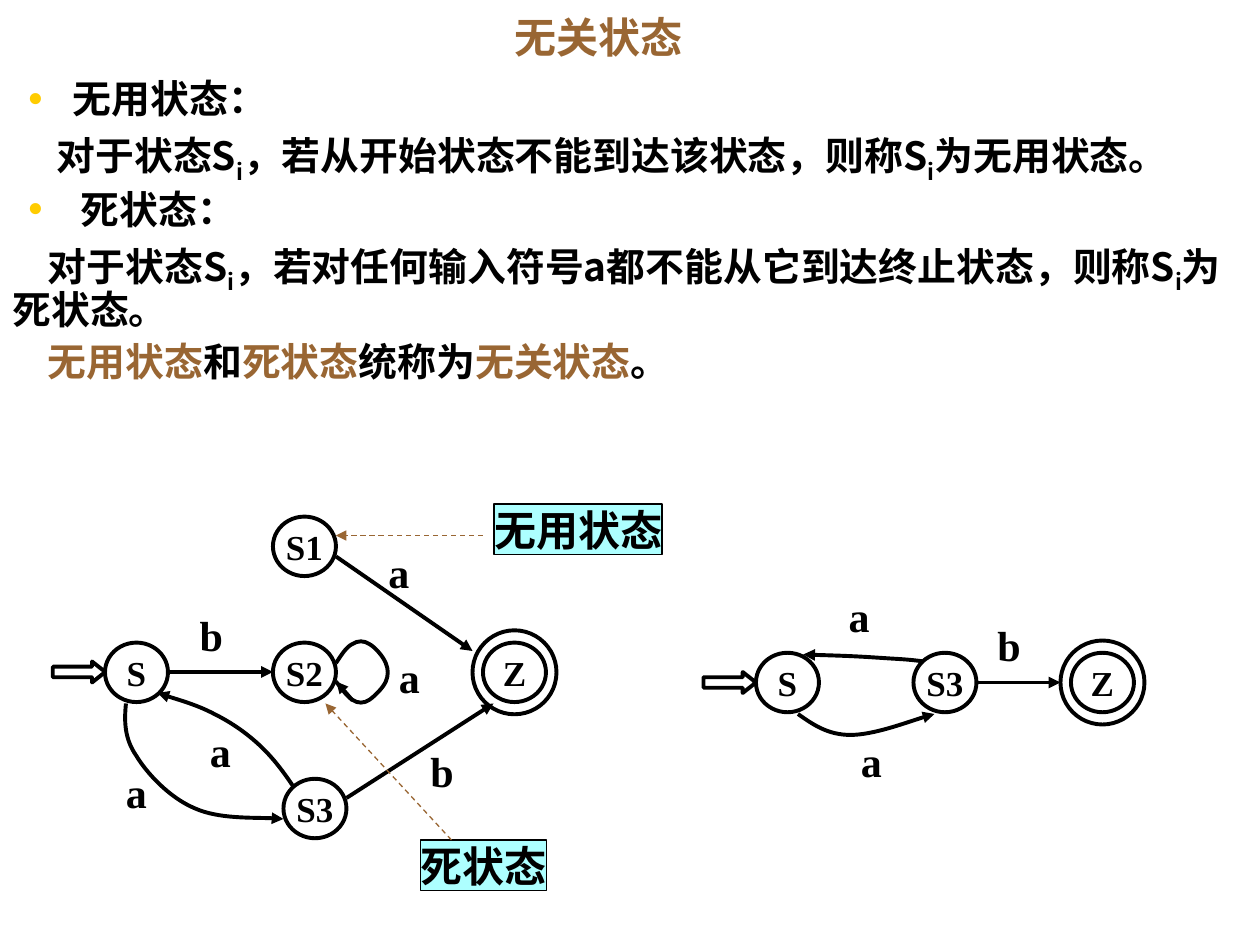
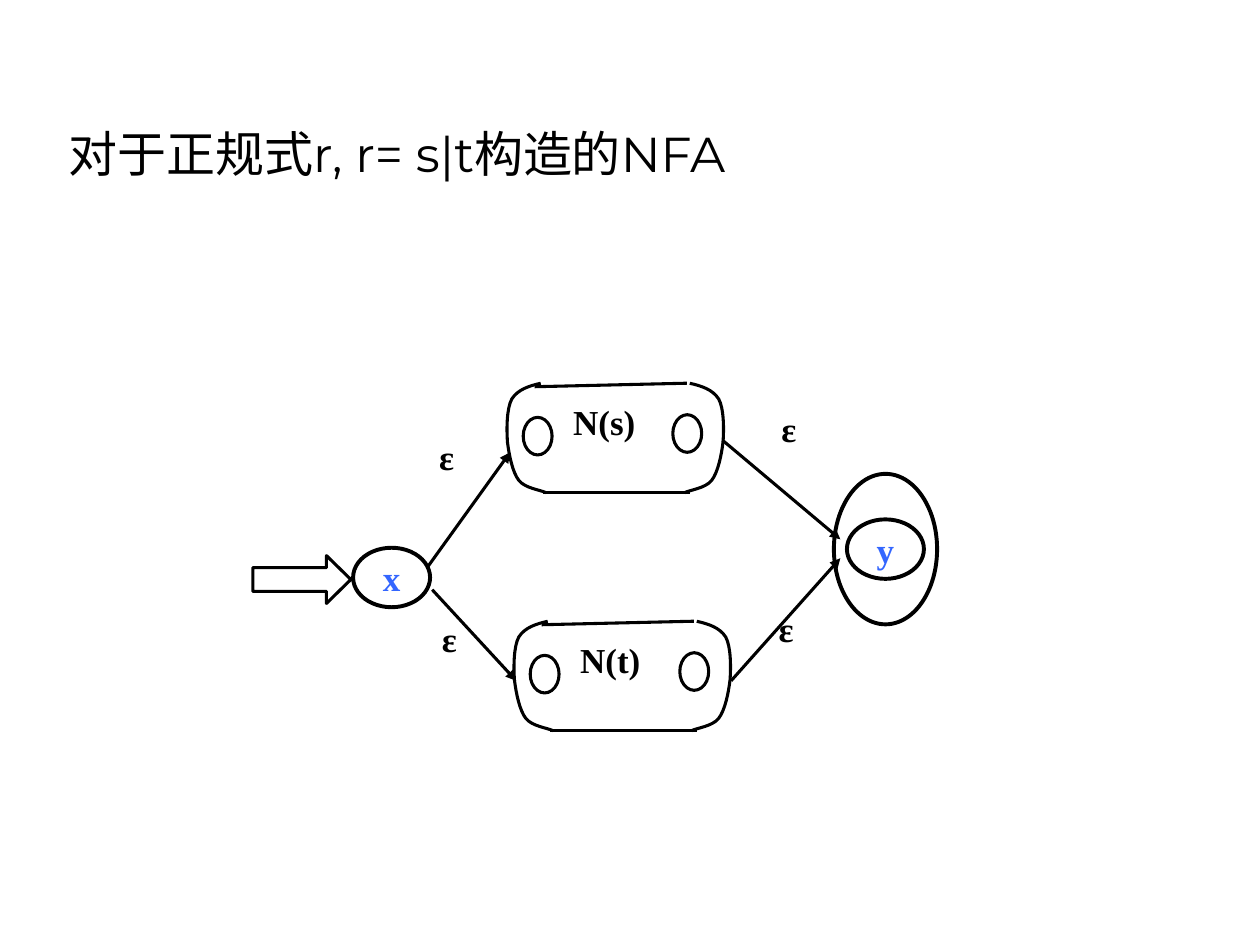
from pptx import Presentation
from pptx.dml.color import RGBColor
from pptx.enum.dml import MSO_LINE
from pptx.enum.shapes import MSO_CONNECTOR, MSO_SHAPE
from pptx.enum.text import MSO_ANCHOR, MSO_AUTO_SIZE, PP_ALIGN
from pptx.oxml.ns import qn
from pptx.util import Pt
from lxml.etree import SubElement

BLACK = RGBColor(0, 0, 0)
BROWN = RGBColor(0x99, 0x66, 0x33)
CYAN = RGBColor(0xAD, 0xFF, 0xFF)
BLUE = RGBColor(0x33, 0x66, 0xFF)
YELLOW = RGBColor(0xFF, 0xCC, 0)
SERIF, SANS, CJK = "Times New Roman", "Montserrat", "Noto Sans CJK SC"
THICK, MEDIUM, THIN = 2.25, 1.75, 0.75
STATE_H = 34

# Slide 1: each definition line is (bulleted, left margin, first-line indent, runs);
# a run is (text, style) with style "", "sub" or "term".
USELESS_TITLE = "无关状态"
DEFINITIONS = [
    (True, 34.5, -26, [("无用状态：", "")]),
    (False, 0, 25.2, [("对于状态S", ""), ("i", "sub"),
                      ("，若从开始状态不能到达该状态，则称S", ""), ("i", "sub"),
                      ("为无用状态。", "")]),
    (True, 39, -30.5, [("死状态：", "")]),
    (False, 0, 20.2, [("对于状态S", ""), ("i", "sub"),
                      ("，若对任何输入符号a都不能从它到达终止状态，则称S", ""),
                      ("i", "sub"), ("为死状态。", "")]),
    (False, 0, 20.2, [("无用状态", "term"), ("和", ""), ("死状态", "term"),
                      ("统称为", ""), ("无关状态", "term"), ("。", "")]),
]
STATES = [("S", 60, 367.2), ("S1", 156, 295.2), ("S2", 156, 367.2),
          ("S3", 162, 445), ("Z", 276, 367.2),
          ("S", 432, 373), ("S3", 522, 373), ("Z", 612, 373)]
START_ARROWS = [(30.2, 378), (402, 384)]
TRANSITIONS = [
    ((192, 318), (270, 372)),
    ((96, 384), (156, 384)),
    ((198, 456), (282, 402)),
    ((558, 390), (606, 390)),
    ((201.5, 400.3), (192.2, 389.5)),
]
INPUTS = [("a", 222, 312), ("b", 114, 348), ("a", 228, 372), ("a", 120, 414),
          ("a", 72, 438), ("b", 246, 426), ("a", 485, 337), ("b", 570, 354),
          ("a", 492, 420)]
CALLOUTS = [("无用状态", 282.3, 288, 96, (276, 306), (192, 306)),
            ("死状态", 240.5, 480, 72, (258, 480), (186, 402))]
# Bézier chains: a start point, then three points for each segment.
S_TO_S3 = [(72, 402), (71, 412), (71, 422), (78, 432), (84, 442), (97, 456),
           (111.5, 462), (125, 468), (153, 467), (162, 468)]
S3_TO_S = [(168, 450), (162, 441), (156, 433), (148.5, 426), (141, 419),
           (132.5, 413), (122.5, 408), (113, 403), (96, 398), (90, 396)]
REDUCED_S_TO_S3 = [(456, 408), (464.5, 414), (473, 420), (486, 420),
                   (499, 420), (526, 410), (534, 408)]
REDUCED_S3_TO_S = [(528, 378), (523, 377.3), (518, 376.8), (510.5, 376.4),
                   (504, 376), (496, 375.4), (487.5, 375), (479, 374.6),
                   (464, 374.2), (459, 374)]
S2_LOOP = [(192, 379), (195, 374.5), (198, 369.5), (201.5, 368), (204.5, 366),
           (208, 366), (211, 368), (214, 369.5), (219, 375), (220.5, 379),
           (222, 382.5), (222, 386), (220.5, 389.5), (219, 393), (214, 398),
           (211, 400), (208, 402), (204.5, 402), (201.5, 400),
           (198, 398), (193.5, 391), (192, 389.5)]

# Slide 2
NFA_TITLE = "对于正规式r, r= s|t构造的NFA"
END_STATES = [("x", 201.8, 313), ("y", 484, 296.8)]
SUB_AUTOMATA = [("N(s)", 36, 0, 0), ("N(t)", 34.5, 4, 136)]
SUB_SIDE = [(309, 219), (302.5, 220.5), (296, 222.5), (292.5, 228),
            (289.5, 233.5), (289.5, 245), (290, 252.5), (291, 260.5),
            (293, 270), (296.5, 274.5), (300, 279), (309, 280), (312, 281.5)]
SUB_MIRROR = 703.2
SUB_EDGES = [((305.5, 221), (392.5, 219)), ((310.5, 281.5), (394.5, 281.5))]
SUB_STATES = [(299, 238.5), (384.5, 237)]
EPSILON_MOVES = [((244, 324.5), (291.5, 258.5)), ((247, 337), (295, 389)),
                 ((412.8, 251.5), (480.2, 308.2)), ((417.8, 389), (480.2, 319))]
EPSILONS = [(251, 249), (446.5, 232.8), (252.5, 352.7), (445, 347)]


def format_run(run, size, font=SERIF, color=BLACK, bold=True):
    run.font.size, run.font.name, run.font.bold = Pt(size), font, bold
    run.font.color.rgb = color
    SubElement(run._r.get_or_add_rPr(), qn("a:ea")).set("typeface", CJK)


def fill_frame(frame, text, size, anchor=MSO_ANCHOR.TOP, align=PP_ALIGN.LEFT,
               inset=0, wrap=False, **style):
    """Put one line of text in a frame; an unwrapped frame fits its text."""
    frame.text = text
    frame.word_wrap, frame.vertical_anchor = wrap, anchor
    if not wrap:
        frame.auto_size = MSO_AUTO_SIZE.SHAPE_TO_FIT_TEXT
    frame.margin_left = frame.margin_right = Pt(inset)
    frame.margin_top = frame.margin_bottom = Pt(inset / 2)
    frame.paragraphs[0].alignment = align
    format_run(frame.paragraphs[0].runs[0], size, **style)


def add_title(slide, text, box, size, **style):
    title = slide.shapes.add_textbox(*map(Pt, box))
    fill_frame(title.text_frame, text, size, inset=7.2, wrap=True, **style)


def add_label(slide, text, x, y, width, size):
    label = slide.shapes.add_textbox(Pt(x), Pt(y), Pt(width), Pt(size * 1.2))
    fill_frame(label.text_frame, text, size)


def style_line(item, width, color=BLACK, arrow=False, dashed=False):
    item.line.color.rgb, item.line.width = color, Pt(width)
    if dashed:
        item.line.dash_style = MSO_LINE.DASH
    if arrow:
        ln = item._element.spPr.find(qn("a:ln"))
        SubElement(ln, qn("a:tailEnd")).set("type", "triangle")


def add_outline(slide, kind, x, y, width, height, weight=THICK):
    outline = slide.shapes.add_shape(kind, Pt(x), Pt(y), Pt(width), Pt(height))
    outline.shadow.inherit = False
    outline.fill.background()
    style_line(outline, weight)
    return outline


def add_edge(slide, start, end, weight=THICK, **style):
    edge = slide.shapes.add_connector(MSO_CONNECTOR.STRAIGHT, *map(Pt, (*start, *end)))
    style_line(edge, weight, **style)
    SubElement(edge._element.spPr, qn("a:effectLst"))


def add_curve(slide, chain, weight=THICK, arrow=False):
    """Draw a Bézier chain: each three line segments become one cubic curve."""
    points = [(Pt(x), Pt(y)) for x, y in chain]
    builder = slide.shapes.build_freeform(*points[0])
    builder.add_line_segments(points[1:], close=False)
    curve = builder.convert_to_shape()
    outline = next(curve._element.iter(qn("a:path")))
    segments = outline.findall(qn("a:lnTo"))
    for i in range(0, len(segments), 3):
        cubic = SubElement(outline, qn("a:cubicBezTo"))
        for segment in segments[i:i + 3]:
            cubic.append(segment[0])
            outline.remove(segment)
    curve.shadow.inherit = False
    curve.fill.background()
    style_line(curve, weight, arrow=arrow)


def add_state(slide, name, x, y, width=36, color=BLACK):
    state = add_outline(slide, MSO_SHAPE.OVAL, x, y, width, STATE_H)
    fill_frame(state.text_frame, name, 20, MSO_ANCHOR.MIDDLE, PP_ALIGN.CENTER,
               wrap=True, color=color)


def add_start_arrow(slide, x, y, width, height, head, weight=THICK):
    arrow = add_outline(slide, MSO_SHAPE.RIGHT_ARROW, x, y, width, height, weight)
    arrow.adjustments[1] = head


def add_definitions(slide):
    body = slide.shapes.add_textbox(0, Pt(42), Pt(708), Pt(234)).text_frame
    body.word_wrap = True
    for i, (bulleted, margin, indent, runs) in enumerate(DEFINITIONS):
        paragraph = body.add_paragraph() if i else body.paragraphs[0]
        paragraph.line_spacing = 0.9
        if i:
            paragraph.space_before = Pt(6)
        props = paragraph._p.get_or_add_pPr()
        props.set("marL", str(Pt(margin)))
        props.set("indent", str(Pt(indent)))
        if bulleted:
            bullet_color = SubElement(props, qn("a:buClr"))
            SubElement(bullet_color, qn("a:srgbClr")).set("val", str(YELLOW))
            for tag, key, value in (("a:buSzPct", "val", "120000"),
                                    ("a:buFont", "typeface", SERIF),
                                    ("a:buChar", "char", "•")):
                SubElement(props, qn(tag)).set(key, value)
        for text, style in runs:
            run = paragraph.add_run()
            run.text = text
            format_run(run, 22.2, CJK, BROWN if style == "term" else BLACK)
            if style == "sub":
                run._r.get_or_add_rPr().set("baseline", "-25000")


def build_useless_states(slide):
    add_title(slide, USELESS_TITLE, (18, 0, 648, 42), 24, color=BROWN,
              anchor=MSO_ANCHOR.MIDDLE, align=PP_ALIGN.CENTER)
    add_definitions(slide)
    for name, x, y in STATES:
        add_state(slide, name, x, y)
        if name == "Z":
            add_outline(slide, MSO_SHAPE.OVAL, x - 6, y - 7, 48, 48)
    for x, y in START_ARROWS:
        add_start_arrow(slide, x, y, 30, 12, 0.63)
    for start, end in TRANSITIONS:
        add_edge(slide, start, end, arrow=True)
    for chain in (S_TO_S3, S3_TO_S, REDUCED_S_TO_S3, REDUCED_S3_TO_S):
        add_curve(slide, chain, arrow=True)
    add_curve(slide, S2_LOOP)
    for symbol, x, y in INPUTS:
        add_label(slide, symbol, x, y + 0.3, 12 if symbol == "a" else 13.4, 24)
    for text, x, y, width, start, end in CALLOUTS:
        callout = add_outline(slide, MSO_SHAPE.RECTANGLE, x, y, width, 29, THIN)
        callout.fill.solid()
        callout.fill.fore_color.rgb = CYAN
        fill_frame(callout.text_frame, text, 24)
        add_edge(slide, start, end, THIN, color=BROWN, arrow=True, dashed=True)


def add_sub_automaton(slide, name, name_width, dx, dy):
    side = [(x + dx, y + dy) for x, y in SUB_SIDE]
    add_curve(slide, side, MEDIUM)
    add_curve(slide, [(SUB_MIRROR + 2 * dx - x, y) for x, y in side], MEDIUM)
    for edge in SUB_EDGES:
        add_edge(slide, *[(x + dx, y + dy) for x, y in edge], MEDIUM)
    for x, y in SUB_STATES:
        add_outline(slide, MSO_SHAPE.OVAL, x + dx, y + dy, 16.5, 21.5, MEDIUM)
    add_label(slide, name, 327.5 + dx, 229 + dy, name_width, 20)


def build_union_nfa(slide):
    add_title(slide, NFA_TITLE, (32, 18, 612, 90), 28, font=SANS, bold=False,
              anchor=MSO_ANCHOR.BOTTOM)
    for name, x, y in END_STATES:
        add_state(slide, name, x, y, 44, BLUE)
    add_outline(slide, MSO_SHAPE.OVAL, 476.5, 270.8, 59, 86)
    add_start_arrow(slide, 144.5, 317.5, 56, 27.3, 0.51, MEDIUM)
    for sub_automaton in SUB_AUTOMATA:
        add_sub_automaton(slide, *sub_automaton)
    for start, end in EPSILON_MOVES:
        add_edge(slide, start, end, MEDIUM, arrow=True)
    for x, y in EPSILONS:
        add_label(slide, "ε", x, y, 8.5, 20)


def main():
    deck = Presentation()
    deck.slide_width, deck.slide_height = Pt(720), Pt(540)
    for build in (build_useless_states, build_union_nfa):
        build(deck.slides.add_slide(deck.slide_layouts[6]))
    deck.save("out.pptx")


if __name__ == "__main__":
    main()
